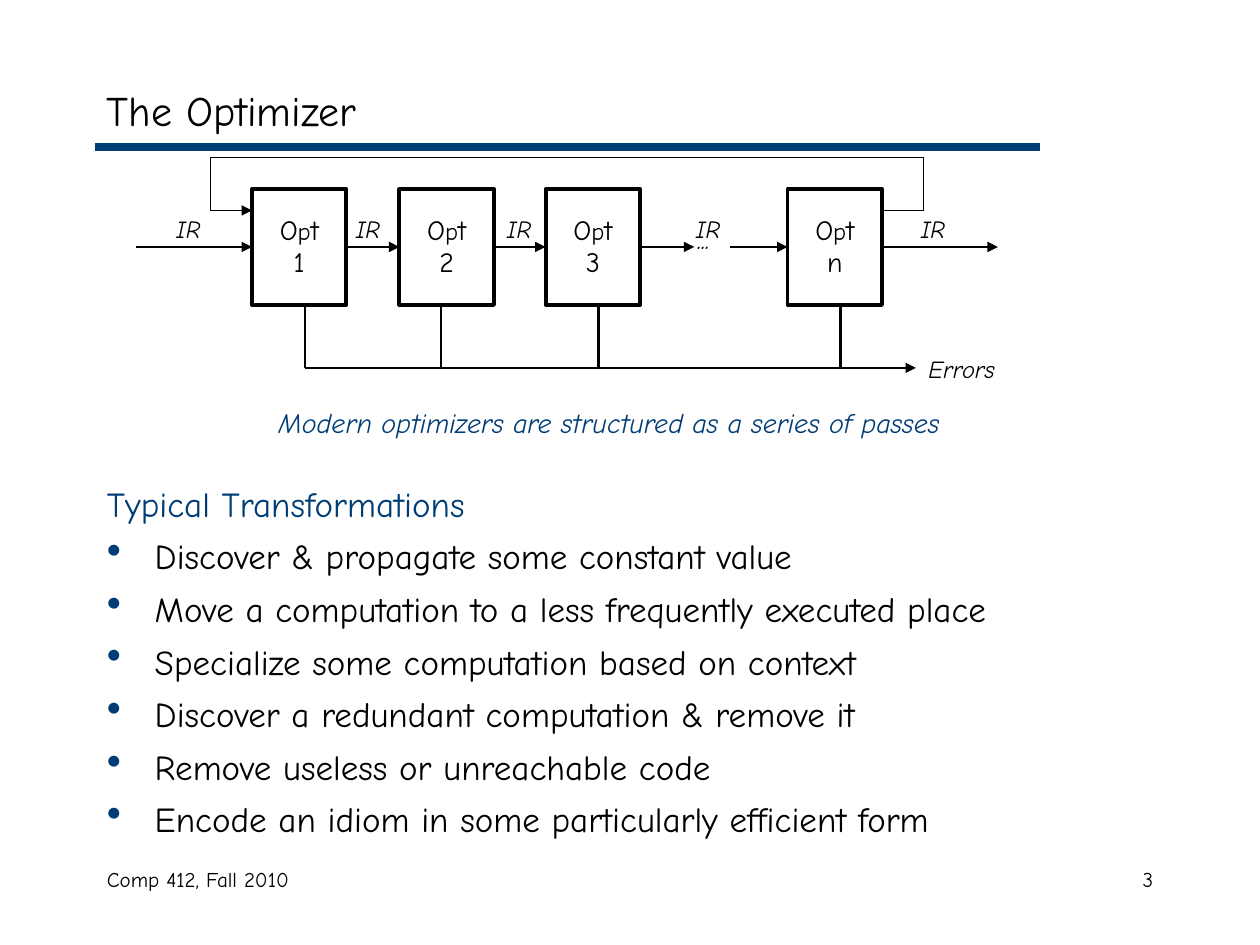
from itertools import pairwise

from lxml import etree
from pptx import Presentation
from pptx.dml.color import RGBColor
from pptx.enum.shapes import MSO_CONNECTOR, MSO_SHAPE
from pptx.enum.text import MSO_ANCHOR, PP_ALIGN
from pptx.oxml.ns import qn
from pptx.util import Inches, Pt

BLACK = RGBColor(0x00, 0x00, 0x00)
NAVY = RGBColor(0x00, 0x3C, 0x75)
FONT = "Comic Neue"
LEFT, CENTER, RIGHT = PP_ALIGN.LEFT, PP_ALIGN.CENTER, PP_ALIGN.RIGHT
TOP, MIDDLE = MSO_ANCHOR.TOP, MSO_ANCHOR.MIDDLE
STRAIGHT = MSO_CONNECTOR.STRAIGHT
RECTANGLE = MSO_SHAPE.RECTANGLE

TRANSFORMATIONS = [
    "Discover & propagate some constant value",
    "Move a computation to a less frequently executed place",
    "Specialize some computation based on context",
    "Discover a redundant computation & remove it",
    "Remove useless or unreachable code",
    "Encode an idiom in some particularly efficient form",
]


def add_span(para, text, size, color=BLACK, italic=False):
    span = para.add_run()
    span.text = text
    span.font.name = FONT
    span.font.size = Pt(size)
    span.font.color.rgb = color
    span.font.italic = italic


def add_frame(page, left, top, width, height, anchor=TOP):
    box = page.shapes.add_textbox(
        Inches(left), Inches(top), Inches(width), Inches(height)
    )
    frame = box.text_frame
    frame.word_wrap = True
    frame.vertical_anchor = anchor
    return frame


def add_label(page, left, top, width, height, text, size,
              color=BLACK, italic=False, align=LEFT, anchor=TOP):
    para = add_frame(page, left, top, width, height, anchor).paragraphs[0]
    para.alignment = align
    add_span(para, text, size, color, italic)


def add_line(page, start, end, weight=0.75, color=BLACK, arrow=False):
    line = page.shapes.add_connector(
        STRAIGHT, *(Inches(value) for value in (*start, *end))
    )
    line.line.color.rgb = color
    line.line.width = Pt(weight)
    if arrow:
        etree.SubElement(line.line._get_or_add_ln(), qn("a:tailEnd"), type="triangle")
    etree.SubElement(line._element.spPr, qn("a:effectLst"))


def add_bullet(para):
    props = para._p.get_or_add_pPr()
    props.set("marL", str(Inches(0.38)))
    props.set("indent", str(-Inches(0.38)))
    color = etree.SubElement(props, qn("a:buClr"))
    etree.SubElement(color, qn("a:srgbClr"), val=str(NAVY))
    etree.SubElement(props, qn("a:buSzPct"), val="120000")
    etree.SubElement(props, qn("a:buChar"), char="•")


def add_header(page, left, top, width):
    add_label(page, left, top, width, 0.58, "The Optimizer", 24, anchor=MIDDLE)
    rule = top + 0.59
    add_line(page, (left, rule), (left + 7.5, rule), 4.5, NAVY)


def add_pass(page, left, top, width, height, name):
    box = page.shapes.add_shape(
        RECTANGLE, Inches(left), Inches(top), Inches(width), Inches(height)
    )
    box.shadow.inherit = False
    box.fill.background()
    box.line.color.rgb = BLACK
    box.line.width = Pt(2.25)
    frame = box.text_frame
    frame.word_wrap = True
    frame.vertical_anchor = MIDDLE
    first, second = frame.paragraphs[0], frame.add_paragraph()
    for para in (first, second):
        para.alignment = CENTER
        para.line_spacing = 0.95
    for letter, size in (("O", 16), ("p", 14), ("t", 16)):
        add_span(first, letter, size)
    add_span(second, name, 16)


def add_pipeline(page, left, top):
    width, height = 0.75, 0.92
    flow, loop, bottom, bus = top + 0.71, top + 0.42, top + 1.17, top + 1.67
    passes = {"1": 0.92, "2": 2.09, "3": 3.25, "n": 5.17}
    for name, offset in passes.items():
        add_pass(page, left + offset, top + 0.25, width, height, name)

    for start, end in ((0, 0.92), (1.67, 2.09), (2.84, 3.25),
                       (4.01, 4.43), (4.71, 5.17), (5.92, 6.84)):
        add_line(page, (left + start, flow), (left + end, flow), arrow=True)

    for offset, align in ((0.22, LEFT), (1.59, CENTER), (2.79, CENTER),
                          (4.29, CENTER), (6.13, LEFT)):
        add_label(page, left + offset, top + 0.4, 0.5, 0.34, "IR", 14,
                  italic=True, align=align)
    add_label(page, left + 4.36, top + 0.46, 0.42, 0.37, "...", 16, italic=True)

    corners = [(5.92, loop), (6.25, loop), (6.25, top),
               (0.59, top), (0.59, loop), (0.92, loop)]
    points = [(left + offset, y) for offset, y in corners]
    for start, end in pairwise(points):
        add_line(page, start, end, arrow=end == points[-1])

    for offset in (1.34, 2.42, 3.67, 5.59):
        add_line(page, (left + offset, bottom), (left + offset, bus), 1.5)
    add_line(page, (left + 1.34, bus), (left + 6.19, bus), 1.5, arrow=True)
    add_label(page, left + 6.19, top + 1.51, 0.8, 0.34, "Errors", 14, italic=True)
    add_label(page, left + 0.34, top + 1.92, 6.83, 0.37,
              "Modern optimizers are structured as a series of passes",
              16, NAVY, True, CENTER)


def add_transformations(page, left, top, width, height):
    frame = add_frame(page, left, top, width, height)
    add_span(frame.paragraphs[0], "Typical Transformations", 20, NAVY)
    for text in TRANSFORMATIONS:
        para = frame.add_paragraph()
        para.space_before = Pt(6)
        add_bullet(para)
        add_span(para, text, 20)


def add_footer(page, left, top, width):
    add_label(page, left, top, 3.17, 0.5, "Comp 412, Fall 2010", 12)
    add_label(page, left + width - 2.08, top, 2.08, 0.5, "3", 12, align=RIGHT)


def main():
    deck = Presentation()
    deck.slide_width, deck.slide_height = Inches(10), Inches(7.5)
    page = deck.slides.add_slide(deck.slide_layouts[6])
    add_header(page, 0.75, 0.58, 8.5)
    add_pipeline(page, 1.08, 1.25)
    add_transformations(page, 0.75, 3.78, 8.5, 3.07)
    add_footer(page, 0.75, 6.83, 8.5)
    deck.save("out.pptx")


if __name__ == "__main__":
    main()
